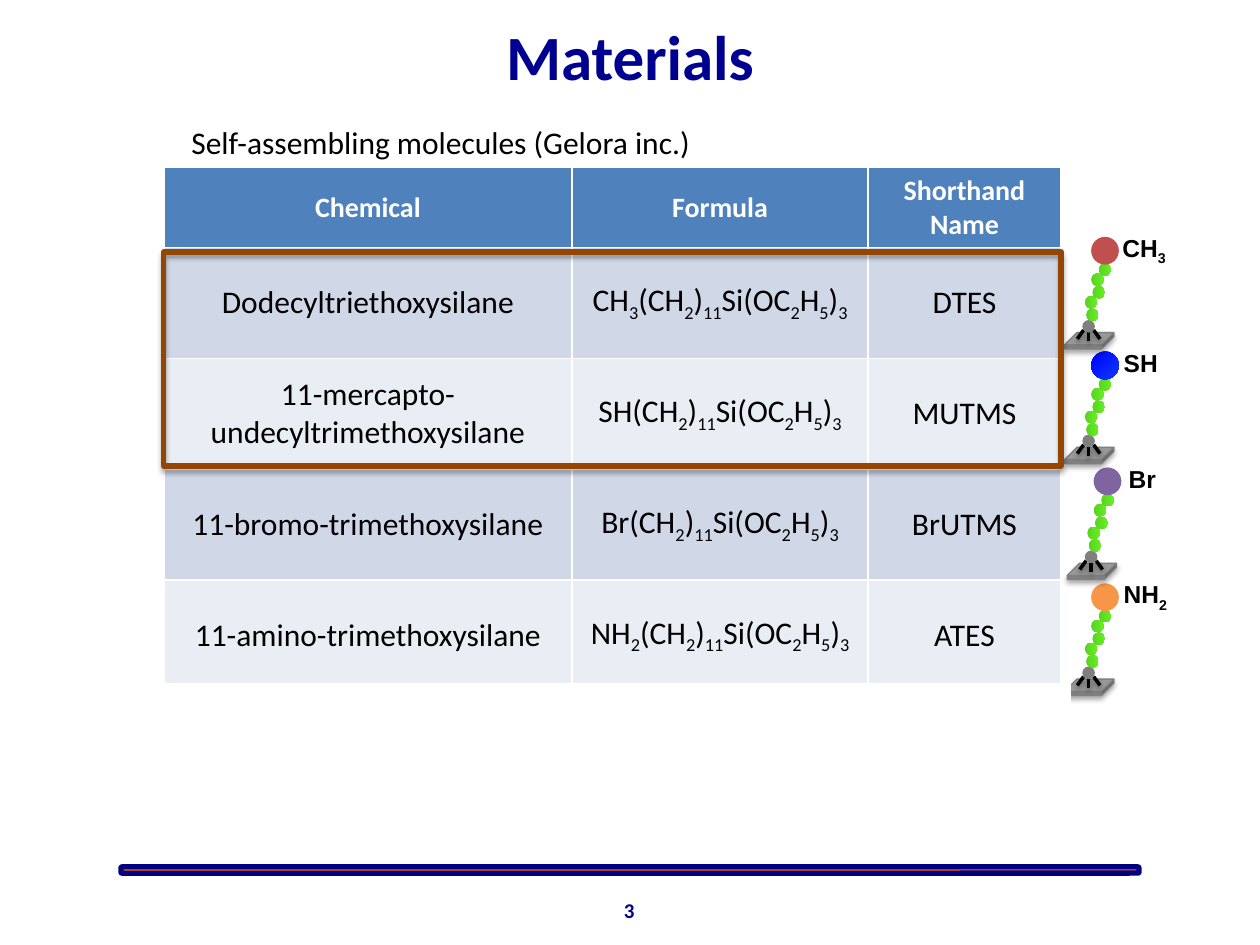
from itertools import groupby

from lxml import etree
from pptx import Presentation
from pptx.dml.color import RGBColor
from pptx.enum.shapes import MSO_CONNECTOR, MSO_SHAPE
from pptx.enum.text import MSO_ANCHOR, PP_ALIGN
from pptx.oxml.ns import qn
from pptx.util import Inches, Pt

THEME = dict(
    font="Calibri", label_font="Arial",
    title_size=36, body_size=18, header_size=16, label_size=14, number_size=12,
    navy="000090", bar_line="000080", bar_fill="FF6600", black="000000", white="FFFFFF",
    header="4F81BD", bands=("D0D8E8", "E9EDF4"), frame="944705",
    base="808080", joint="7F7F7F", bead=("59D220", "64F022"),
)

TITLE = "Materials"
CAPTION = "Self-assembling molecules (Gelora inc.)"
PAGE = "3"
HEADER = ("Chemical", "Formula", "Shorthand Name")
CHEMICALS = [
    ("Dodecyltriethoxysilane", "CH3(CH2)11Si(OC2H5)3", "DTES"),
    ("11-mercapto-undecyltrimethoxysilane", "SH(CH2)11Si(OC2H5)3", "MUTMS"),
    ("11-bromo-trimethoxysilane", "Br(CH2)11Si(OC2H5)3", "BrUTMS"),
    ("11-amino-trimethoxysilane", "NH2(CH2)11Si(OC2H5)3", "ATES"),
]
COLUMNS = (3.24, 2.35, 1.53)
HEADER_HEIGHT, ROW_HEIGHT = 0.63, 0.88
TABLE_LEFT, TABLE_TOP = 1.3, 1.33

# end group, head colour, left and top of the joint, label offset
MOLECULES = [
    ("NH2", "F79646", 8.59, 5.29, 0.23),
    ("Br", "8064A2", 8.61, 4.37, 0.25),
    ("SH", ("0000FF", "0B3BFF"), 8.59, 3.45, 0.23),
    ("CH3", "C0504D", 8.59, 2.54, 0.22),
]
# offsets from the joint
LEGS = [(0.01, 0.08, -0.04, 0.15), (0.05, 0.08, 0.05, 0.17), (0.09, 0.08, 0.14, 0.15)]
BEADS = [(0.03, -0.09), (0.02, -0.19), (0.08, -0.27), (0.07, -0.37), (0.13, -0.45)]


def rgb(value):
    return RGBColor.from_string(value)


def style(run, size, color="black", bold=False, font="font"):
    f = run.font
    f.name, f.size, f.bold = THEME[font], Pt(THEME[size]), bold
    f.color.rgb = rgb(THEME[color])


def write(tf, text, size, align=PP_ALIGN.LEFT, formula=False, **look):
    """Write one paragraph; in a formula every number is a subscript."""
    p = tf.paragraphs[0]
    p.alignment = align
    parts = [(False, text)]
    if formula:
        parts = [(low, "".join(chars)) for low, chars in groupby(text, str.isdigit)]
    for low, part in parts:
        r = p.add_run()
        r.text = part
        style(r, size, **look)
        if low:
            r.font._element.set("baseline", "-25000")


def add_text(shapes, box, text, size, anchor=MSO_ANCHOR.TOP, **look):
    tb = shapes.add_textbox(*map(Inches, box))
    tf = tb.text_frame
    tf.word_wrap, tf.vertical_anchor = True, anchor
    write(tf, text, size, **look)


def set_shadow(sp, opacity=None):
    """Give a drop shadow, or none when no opacity is given."""
    sp_pr = sp._element.spPr
    effects = etree.SubElement(sp_pr, qn("a:effectLst"))
    if opacity:
        shadow = etree.SubElement(effects, qn("a:outerShdw"), blurRad=str(Pt(3.1)),
                                  dist=str(Pt(1.8)), dir="5400000", rotWithShape="0")
        color = etree.SubElement(shadow, qn("a:srgbClr"), val=THEME["black"])
        etree.SubElement(color, qn("a:alpha"), val=str(opacity * 1000))


def add_shape(shapes, kind, box, fill=None, line=None, width=1, angle=0, shadow=None):
    """Add a preset shape; a pair of fill colours makes a gradient."""
    sp = shapes.add_shape(kind, *map(Inches, box))
    if fill is None:
        sp.fill.background()
    elif isinstance(fill, tuple):
        sp.fill.gradient()
        sp.fill.gradient_angle = angle
        for stop, color in zip(sp.fill.gradient_stops, fill):
            stop.color.rgb = rgb(color)
    else:
        sp.fill.solid()
        sp.fill.fore_color.rgb = rgb(fill)
    if line:
        sp.line.color.rgb = rgb(line)
        sp.line.width = Pt(width)
    else:
        sp.line.fill.background()
    set_shadow(sp, shadow)
    return sp


def add_table(slide):
    rows = [HEADER] + CHEMICALS
    heights = [HEADER_HEIGHT] + [ROW_HEIGHT] * len(CHEMICALS)
    table = slide.shapes.add_table(
        len(rows), len(COLUMNS), Inches(TABLE_LEFT), Inches(TABLE_TOP),
        Inches(sum(COLUMNS)), Inches(sum(heights))).table
    for column, width in zip(table.columns, COLUMNS):
        column.width = Inches(width)
    for i, (row, height) in enumerate(zip(rows, heights)):
        table.rows[i].height = Inches(height)
        for j, text in enumerate(row):
            cell = table.cell(i, j)
            cell.vertical_anchor = MSO_ANCHOR.MIDDLE
            cell.fill.solid()
            cell.fill.fore_color.rgb = rgb(THEME["bands"][(i - 1) % 2] if i else THEME["header"])
            look = {} if i else dict(color="white", bold=True)
            write(cell.text_frame, text, "body_size" if i else "header_size",
                  PP_ALIGN.CENTER, formula=i > 0 and j == 1, **look)


def add_molecule(slide, label, head, x, y, label_dx):
    shapes = slide.shapes.add_group_shape().shapes
    add_shape(shapes, MSO_SHAPE.CUBE, (x - 0.14, y + 0.1, 0.39, 0.13), THEME["base"],
              THEME["base"], 0.75, shadow=35).adjustments[0] = 0.75
    for x1, y1, x2, y2 in LEGS:
        leg = shapes.add_connector(MSO_CONNECTOR.STRAIGHT, Inches(x + x1), Inches(y + y1),
                                   Inches(x + x2), Inches(y + y2))
        leg.line.color.rgb = rgb(THEME["black"])
        leg.line.width = Pt(2)
        set_shadow(leg, 38)
    circle = MSO_SHAPE.FLOWCHART_CONNECTOR
    add_shape(shapes, circle, (x, y, 0.1, 0.1), THEME["joint"])
    for dx, dy in BEADS:
        add_shape(shapes, circle, (x + dx, y + dy, 0.1, 0.1), THEME["bead"])
    add_shape(shapes, circle, (x + 0.07, y - 0.66, 0.22, 0.22), head, angle=315)
    add_text(shapes, (x + label_dx, y - 0.74, 0.75, 0.34), label, "label_size",
             formula=True, bold=True, font="label_font")


def main():
    prs = Presentation()
    prs.slide_width, prs.slide_height = Inches(10), Inches(7.5)
    slide = prs.slides.add_slide(prs.slide_layouts[5])
    shapes = slide.shapes

    add_shape(shapes, MSO_SHAPE.ROUNDED_RECTANGLE, (0.96, 6.88, 8.08, 0.05),
              THEME["bar_fill"], THEME["bar_line"], 3)
    add_text(shapes, (3.83, 7.02, 2.33, 0.4), PAGE, "number_size", MSO_ANCHOR.MIDDLE,
             align=PP_ALIGN.CENTER, color="navy", bold=True)

    title = shapes.title
    title.left, title.top, title.width, title.height = map(Inches, (0.5, 0.05, 9, 0.78))
    title.text_frame.vertical_anchor = MSO_ANCHOR.MIDDLE
    write(title.text_frame, TITLE, "title_size", PP_ALIGN.CENTER, color="navy", bold=True)

    add_text(shapes, (1.42, 0.93, 8.35, 0.4), CAPTION, "body_size")
    add_table(slide)
    for molecule in MOLECULES:
        add_molecule(slide, *molecule)
    add_shape(shapes, MSO_SHAPE.RECTANGLE, (TABLE_LEFT, 2, sum(COLUMNS), 1.7),
              line=THEME["frame"], width=3, shadow=35)
    add_shape(shapes, MSO_SHAPE.RECTANGLE, (0.83, 5.42, 7.67, 1.39), THEME["white"])
    prs.save("out.pptx")


if __name__ == "__main__":
    main()
